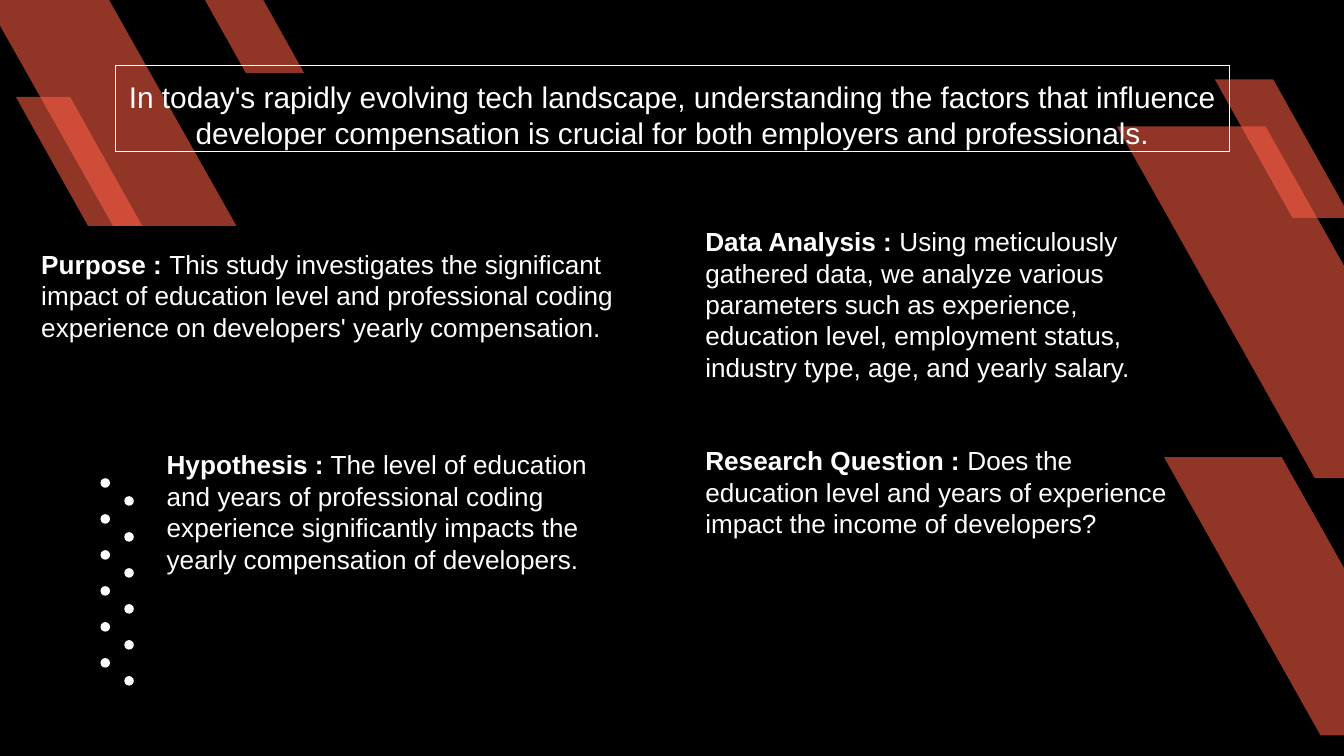
from dataclasses import dataclass

from lxml.etree import SubElement
from pptx import Presentation
from pptx.dml.color import RGBColor
from pptx.enum.shapes import MSO_SHAPE as Preset
from pptx.enum.text import MSO_ANCHOR as Anchor, PP_ALIGN as Align
from pptx.oxml.ns import qn
from pptx.util import Cm, Pt


@dataclass(frozen=True)
class Theme:
    background: RGBColor = RGBColor(0x00, 0x00, 0x00)
    text: RGBColor = RGBColor(0xFF, 0xFF, 0xFF)
    accent: RGBColor = RGBColor(0xFF, 0x5E, 0x45)
    accent_opacity: int = 57
    font: str = "Arial"
    intro_size: int = 16
    body_size: int = 14
    frame_width: float = 0.75


THEME = Theme()
SLIDE_SIZE = (25.4, 14.29)

INTRO = (
    "In today's rapidly evolving tech landscape, understanding the factors that "
    "influence developer compensation is crucial for both employers and professionals."
)
INTRO_BOX = (2.18, 1.24, 21.06, 1.63)

SECTIONS = [
    ("Purpose : ",
     "This study investigates the significant impact of education level and "
     "professional coding experience on developers' yearly compensation.",
     (0.53, 4.57, 12.12, 2.06)),
    ("Data Analysis : ",
     "Using meticulously gathered data, we analyze various parameters such as "
     "experience, education level, employment status, industry type, age, and yearly salary.",
     (13.08, 4.14, 9.27, 3.25)),
    ("Research Question : ",
     "Does the education level and years of experience impact the income of developers?",
     (13.08, 8.28, 9.27, 2.06)),
    ("Hypothesis :",
     " The level of education and years of professional coding experience "
     "significantly impacts the yearly compensation of developers.",
     (2.9, 8.36, 8.53, 2.64)),
]

BACK_STRIPES = [
    (-0.97, -1.24, 5.44, 5.51),
    (21.11, 2.39, 6.55, 6.65),
    (22.96, 1.5, 2.57, 2.62),
    (3.18, -1.24, 2.57, 2.62),
    (0.3, 1.83, 2.39, 2.44),
]
FRONT_STRIPE = (22, 8.64, 5.18, 5.26)
STRIPE_SLANT = 0.571

DOT_COLUMNS = (1.9, 2.35)
DOT_ROWS = 6
DOT_TOP = 9.04
DOT_PITCH = 0.68
DOT_SIZE = 0.18


def lengths(box):
    return [Cm(value) for value in box]


def add_filled(shapes, preset, box, color):
    shape = shapes.add_shape(preset, *lengths(box))
    shape.shadow.inherit = False
    shape.fill.solid()
    shape.fill.fore_color.rgb = color
    shape.line.fill.background()
    return shape


def add_stripe(shapes, box):
    stripe = add_filled(shapes, Preset.PARALLELOGRAM, box, THEME.accent)
    stripe.adjustments[0] = STRIPE_SLANT
    properties = stripe._element.spPr
    properties.find(qn("a:xfrm")).set("flipH", "1")
    color = properties.find(qn("a:solidFill"))[0]
    SubElement(color, qn("a:alpha")).set("val", str(THEME.accent_opacity * 1000))


def add_dots(shapes):
    dots = shapes.add_group_shape().shapes
    for column, left in enumerate(DOT_COLUMNS):
        for row in range(DOT_ROWS):
            top = DOT_TOP + (row + column / 2) * DOT_PITCH
            add_filled(dots, Preset.OVAL, (left, top, DOT_SIZE, DOT_SIZE), THEME.text)


def style(run, size, bold=False):
    run.font.name = THEME.font
    run.font.size = Pt(size)
    run.font.bold = bold
    run.font.color.rgb = THEME.text


def add_intro(shapes):
    intro = shapes.add_textbox(*lengths(INTRO_BOX))
    intro.line.color.rgb = THEME.text
    intro.line.width = Pt(THEME.frame_width)
    frame = intro.text_frame
    frame.word_wrap = True
    frame.vertical_anchor = Anchor.TOP
    frame.margin_left = frame.margin_right = Cm(0.25)
    frame.margin_top = frame.margin_bottom = Cm(0.25)
    frame.text = INTRO
    paragraph = frame.paragraphs[0]
    paragraph.alignment = Align.CENTER
    paragraph.space_after = Pt(16)
    style(paragraph.runs[0], THEME.intro_size)


def add_section(shapes, heading, body, box):
    frame = shapes.add_textbox(*lengths(box)).text_frame
    frame.word_wrap = True
    paragraph = frame.paragraphs[0]
    paragraph.text = heading
    paragraph.add_run().text = body
    for run, bold in zip(paragraph.runs, (True, False)):
        style(run, THEME.body_size, bold)


def main():
    deck = Presentation()
    deck.slide_width, deck.slide_height = lengths(SLIDE_SIZE)
    slide = deck.slides.add_slide(deck.slide_layouts[6])
    slide.background.fill.solid()
    slide.background.fill.fore_color.rgb = THEME.background
    shapes = slide.shapes

    for box in BACK_STRIPES:
        add_stripe(shapes, box)
    add_intro(shapes)
    add_stripe(shapes, FRONT_STRIPE)
    add_dots(shapes)
    for heading, body, box in SECTIONS:
        add_section(shapes, heading, body, box)

    deck.save("out.pptx")


if __name__ == "__main__":
    main()
